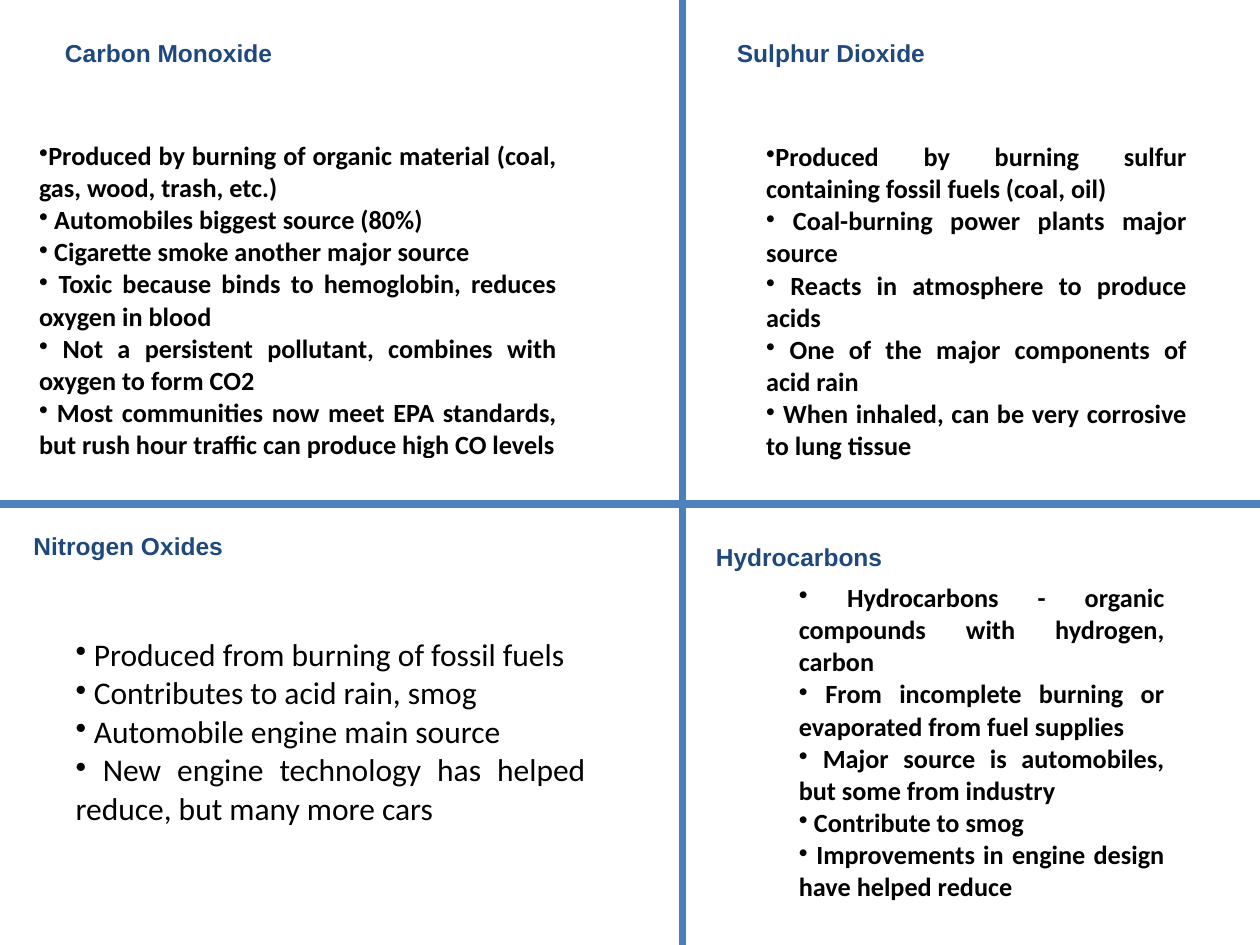
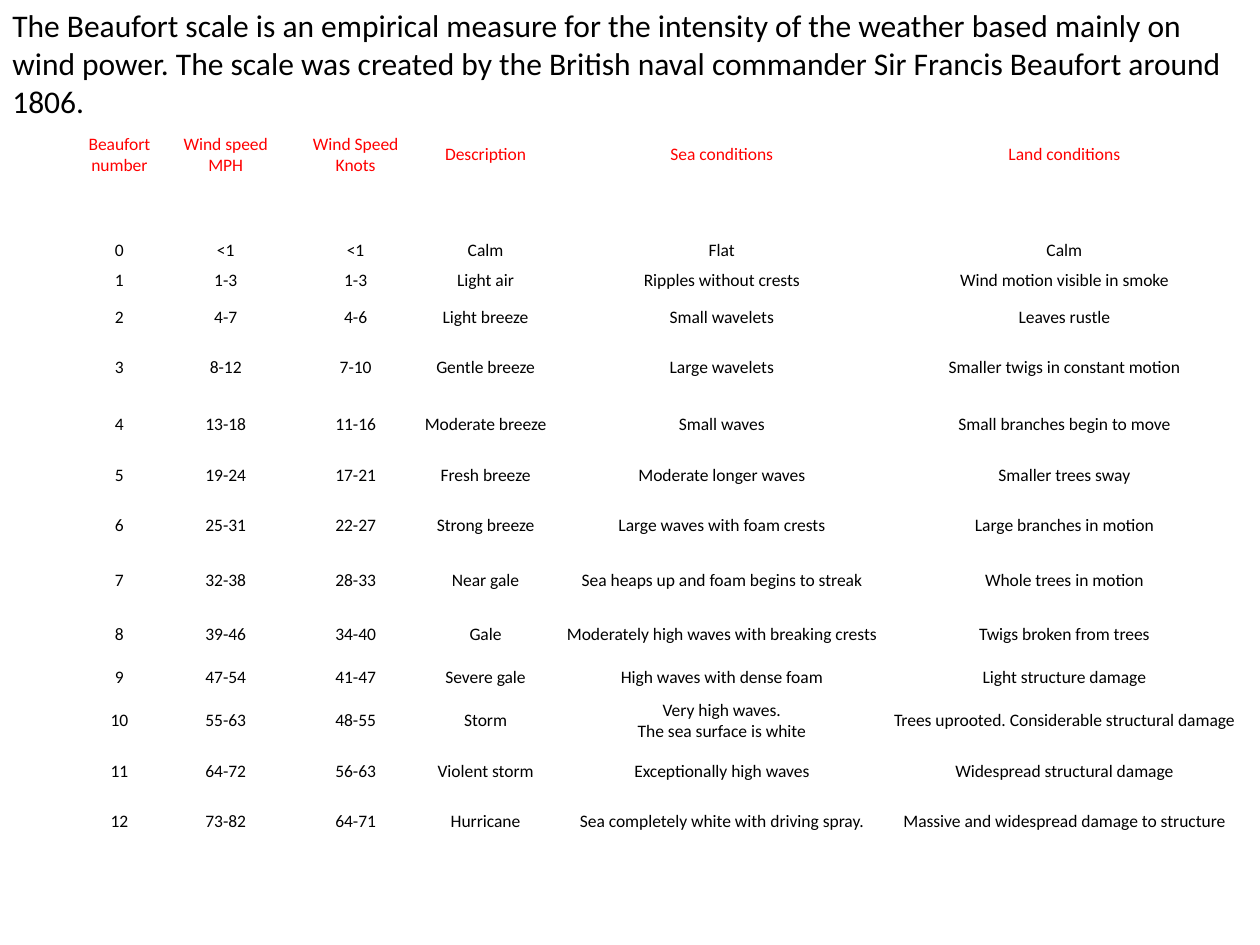
import copy

import pptx
import pptx.dml.color
import pptx.enum.shapes
import pptx.enum.text
import pptx.oxml
import pptx.oxml.ns
import pptx.util

ALIGN = pptx.enum.text.PP_ALIGN
ANCHOR = pptx.enum.text.MSO_ANCHOR
BLANK_LAYOUT = 6

# The slide is a grid of 120 columns by 90 rows, with square cells.
COLUMNS, ROWS = 120, 90
CELL = pptx.util.Inches(10) // COLUMNS

BLACK, RED, NAVY = "000000", "FF0000", "1F497D"
DIVIDER_COLOURS = {"vertical": "4B7EBC", "horizontal": "4F81BD"}
DIVIDER_COLUMN, DIVIDER_ROW = 65, 48

# Each heading is (column, row, width); each notes box adds a height.
# Both are counted from the top left corner of their quadrant.
POLLUTANTS = [
    dict(
        quadrant=(0, 0), heading="Carbon Monoxide", heading_box=(5, 3, 32),
        notes_box=(3, 13, 50.75, 30.5), insets=(0.06, 0.03),
        notes=[
            "Produced by burning of organic material (coal, gas, wood, trash, etc.)",
            " Automobiles biggest source (80%)",
            " Cigarette smoke another major source",
            " Toxic because binds to hemoglobin, reduces oxygen in blood",
            " Not a persistent pollutant, combines with oxygen to form CO2",
            " Most communities now meet EPA standards, but rush hour traffic "
            "can produce high CO levels",
        ]),
    dict(
        quadrant=(DIVIDER_COLUMN, 0), heading="Sulphur Dioxide", heading_box=(4, 3, 21),
        notes_box=(7, 13, 42, 32), insets=(0.08, 0.04),
        notes=[
            "Produced by burning sulfur containing fossil fuels (coal, oil)",
            " Coal-burning power plants major source",
            " Reacts in atmosphere to produce acids",
            " One of the major components of acid rain",
            " When inhaled, can be very corrosive to lung tissue",
        ]),
    dict(
        quadrant=(0, DIVIDER_ROW), heading="Nitrogen Oxides", heading_box=(2, 2, 21),
        notes_box=(6, 12, 51, 19), insets=(0.1, 0.05), size=18, bold=False,
        notes=[
            " Produced from burning of fossil fuels",
            " Contributes to acid rain, smog",
            " Automobile engine main source",
            " New engine technology has helped reduce, but many more cars",
        ]),
    dict(
        quadrant=(DIVIDER_COLUMN, DIVIDER_ROW), heading="Hydrocarbons", heading_box=(2, 3, 19),
        notes_box=(10, 7, 37, 31), insets=(0.09, 0.04),
        notes=[
            " Hydrocarbons - organic compounds with hydrogen, carbon",
            " From incomplete burning or evaporated from fuel supplies",
            " Major source is automobiles, but some from industry",
            " Contribute to smog",
            " Improvements in engine design have helped reduce",
        ]),
]

BEAUFORT_INTRODUCTION = (
    "The Beaufort scale is an empirical measure for the intensity of the weather based "
    "mainly on wind power. The scale was created by the British naval commander "
    "Sir Francis Beaufort around 1806.")
BEAUFORT_COLUMN_WIDTHS = [6.75, 13.5, 11.25, 13.5, 31.5, 33.75]
BEAUFORT_ROW_HEIGHTS = [15.5, 2.75, 2.9, 4.2, 5.4, 5.4, 4.2, 5.4, 5.15, 5.15, 2.9, 5.4, 4.2, 5.4]
BEAUFORT_SCALE = [
    ("Beaufort number", "Wind speed\nMPH", "Wind Speed\nKnots",
     "Description", "Sea conditions", "Land conditions"),
    ("0", "<1", "<1", "Calm", "Flat", "Calm"),
    ("1", "1-3", "1-3", "Light air", "Ripples without crests", "Wind motion visible in smoke"),
    ("2", "4-7", "4-6", "Light breeze", "Small wavelets", "Leaves rustle"),
    ("3", "8-12", "7-10", "Gentle breeze", "Large wavelets", "Smaller twigs in constant motion"),
    ("4", "13-18", "11-16", "Moderate breeze", "Small waves", "Small branches begin to move"),
    ("5", "19-24", "17-21", "Fresh breeze", "Moderate longer waves", "Smaller trees sway"),
    ("6", "25-31", "22-27", "Strong breeze", "Large waves with foam crests",
     "Large branches in motion"),
    ("7", "32-38", "28-33", "Near gale", "Sea heaps up and foam begins to streak",
     "Whole trees in motion"),
    ("8", "39-46", "34-40", "Gale", "Moderately high waves with breaking crests",
     "Twigs broken from trees"),
    ("9", "47-54", "41-47", "Severe gale", "High waves with dense foam",
     "Light structure damage"),
    ("10", "55-63", "48-55", "Storm", "Very high waves.\nThe sea surface is white",
     "Trees uprooted. Considerable structural damage"),
    ("11", "64-72", "56-63", "Violent storm", "Exceptionally high waves",
     "Widespread structural damage"),
    ("12", "73-82", "64-71", "Hurricane", "Sea completely white with driving spray.",
     "Massive and widespread damage to structure"),
]


def cells(count):
    """Turn a number of grid cells into a length."""
    return pptx.util.Emu(round(count * CELL))


def colour(hex_string):
    return pptx.dml.color.RGBColor.from_string(hex_string)


def write_text(paragraph, text, size, font="Calibri", ink=BLACK, bold=False,
               align=ALIGN.LEFT, bullet=None):
    paragraph.text = text
    paragraph.alignment = align
    for run in paragraph.runs:
        run.font.name = font
        run.font.size = pptx.util.Pt(size)
        run.font.bold = bold
        run.font.color.rgb = colour(ink)
    # A line break takes the format of the text, so that lines keep their height.
    for line_break in paragraph._p.findall(pptx.oxml.ns.qn("a:br")):
        line_break.append(copy.deepcopy(paragraph.runs[0]._r.rPr))
    if bullet:
        properties = paragraph._p.get_or_add_pPr()
        properties.set("marL", "0")
        properties.set("indent", "0")
        mark = pptx.oxml.parse_xml(f'<a:buChar {pptx.oxml.ns.nsdecls("a")}/>')
        mark.set("char", bullet)
        properties.append(mark)


def add_text_box(slide, box, text, anchor=ANCHOR.TOP, wrap=True, **text_format):
    shape = slide.shapes.add_textbox(*map(cells, box))
    frame = shape.text_frame
    frame.word_wrap = wrap
    frame.auto_size = pptx.enum.text.MSO_AUTO_SIZE.SHAPE_TO_FIT_TEXT
    frame.vertical_anchor = anchor
    write_text(frame.paragraphs[0], text, **text_format)


def add_plain_table(slide, left, top, column_widths, row_heights, insets):
    """Add a table without fills; insets are the side and top margins in inches."""
    table = slide.shapes.add_table(
        len(row_heights), len(column_widths), cells(left), cells(top),
        cells(sum(column_widths)), cells(sum(row_heights))).table
    table.first_row = table.horz_banding = False
    for column, width in zip(table.columns, column_widths):
        column.width = cells(width)
    for row, height in zip(table.rows, row_heights):
        row.height = cells(height)
    for cell in table.iter_cells():
        cell.fill.background()
        cell.margin_left = cell.margin_right = pptx.util.Inches(insets[0])
        cell.margin_top = cell.margin_bottom = pptx.util.Inches(insets[1])
    return table


def add_divider(slide, start, end, ink):
    line = slide.shapes.add_connector(
        pptx.enum.shapes.MSO_CONNECTOR.STRAIGHT, *map(cells, start + end))
    line.line.color.rgb = colour(ink)
    line.line.width = pptx.util.Pt(4.5)
    line._element.spPr.append(
        pptx.oxml.parse_xml(f'<a:effectLst {pptx.oxml.ns.nsdecls("a")}/>'))


def add_pollutant(slide, quadrant, heading, heading_box, notes_box, insets, notes,
                  size=15, bold=True):
    left, top = quadrant
    column, row, width = heading_box
    add_text_box(slide, (left + column, top + row, width, 4), heading, anchor=ANCHOR.MIDDLE,
                 wrap=False, size=14, font="Arial", ink=NAVY, bold=True)

    column, row, width, height = notes_box
    table = add_plain_table(slide, left + column, top + row, [width], [height], insets)
    frame = table.cell(0, 0).text_frame
    for index, note in enumerate(notes):
        paragraph = frame.add_paragraph() if index else frame.paragraphs[0]
        write_text(paragraph, note, size, bold=bold, align=ALIGN.JUSTIFY, bullet="•")


def build_pollutants_slide(presentation):
    slide = presentation.slides.add_slide(presentation.slide_layouts[BLANK_LAYOUT])
    add_divider(slide, (DIVIDER_COLUMN, 0), (DIVIDER_COLUMN, ROWS), DIVIDER_COLOURS["vertical"])
    add_divider(slide, (0, DIVIDER_ROW), (COLUMNS, DIVIDER_ROW), DIVIDER_COLOURS["horizontal"])
    for pollutant in POLLUTANTS:
        add_pollutant(slide, **pollutant)


def add_beaufort_table(slide, left, top):
    table = add_plain_table(slide, left, top, BEAUFORT_COLUMN_WIDTHS, BEAUFORT_ROW_HEIGHTS,
                            insets=(0.03, 0.01))
    for row_index, values in enumerate(BEAUFORT_SCALE):
        for column_index, value in enumerate(values):
            cell = table.cell(row_index, column_index)
            cell.vertical_anchor = ANCHOR.MIDDLE
            write_text(cell.text_frame.paragraphs[0], value, 10,
                       ink=BLACK if row_index else RED, align=ALIGN.CENTER)


def build_beaufort_slide(presentation):
    slide = presentation.slides.add_slide(presentation.slide_layouts[BLANK_LAYOUT])
    add_beaufort_table(slide, 8, 7)
    add_text_box(slide, (0, 0, COLUMNS, 12), BEAUFORT_INTRODUCTION, size=18)


def main():
    presentation = pptx.Presentation()
    presentation.slide_width = cells(COLUMNS)
    presentation.slide_height = cells(ROWS)
    build_pollutants_slide(presentation)
    build_beaufort_slide(presentation)
    presentation.save("out.pptx")


if __name__ == "__main__":
    main()
